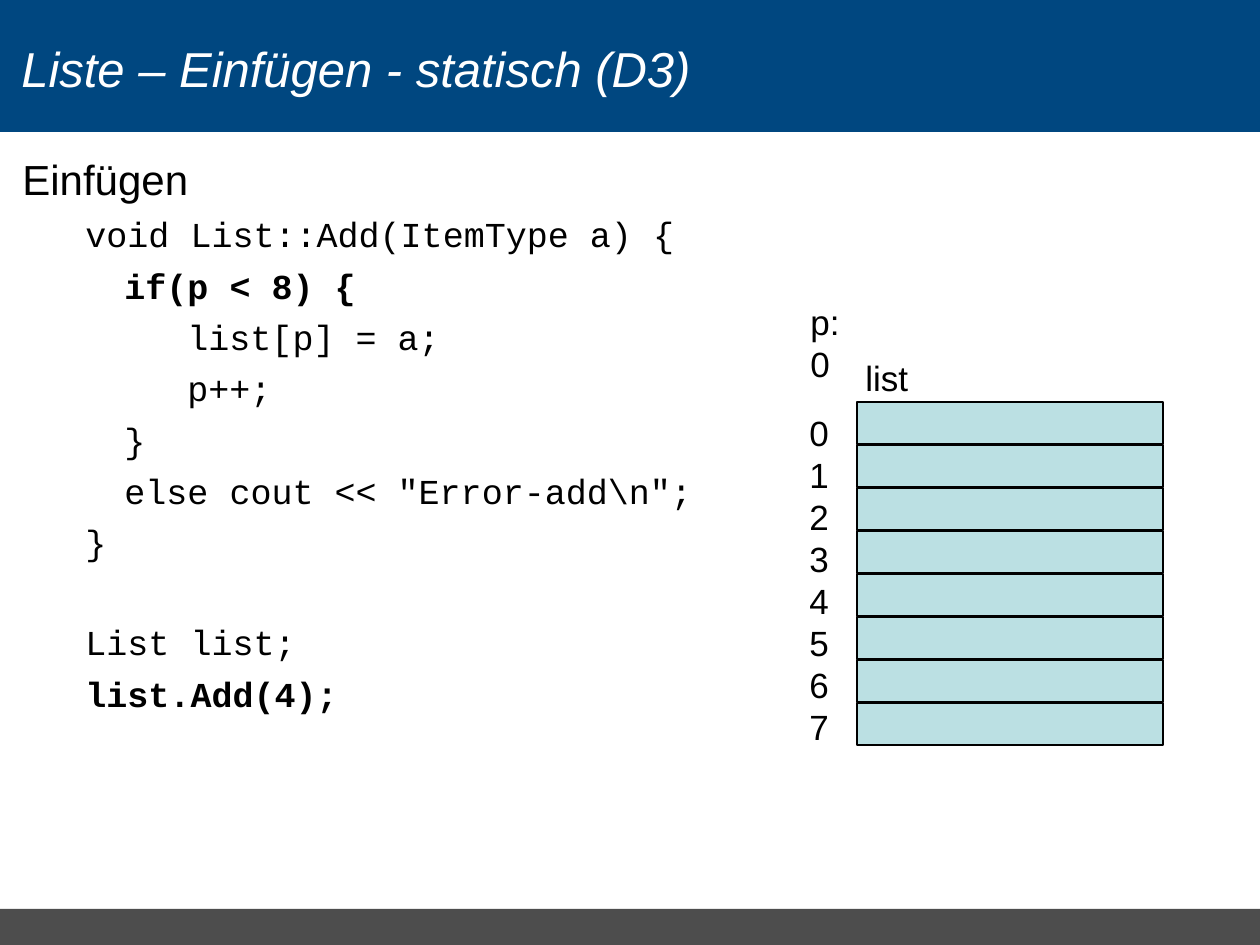
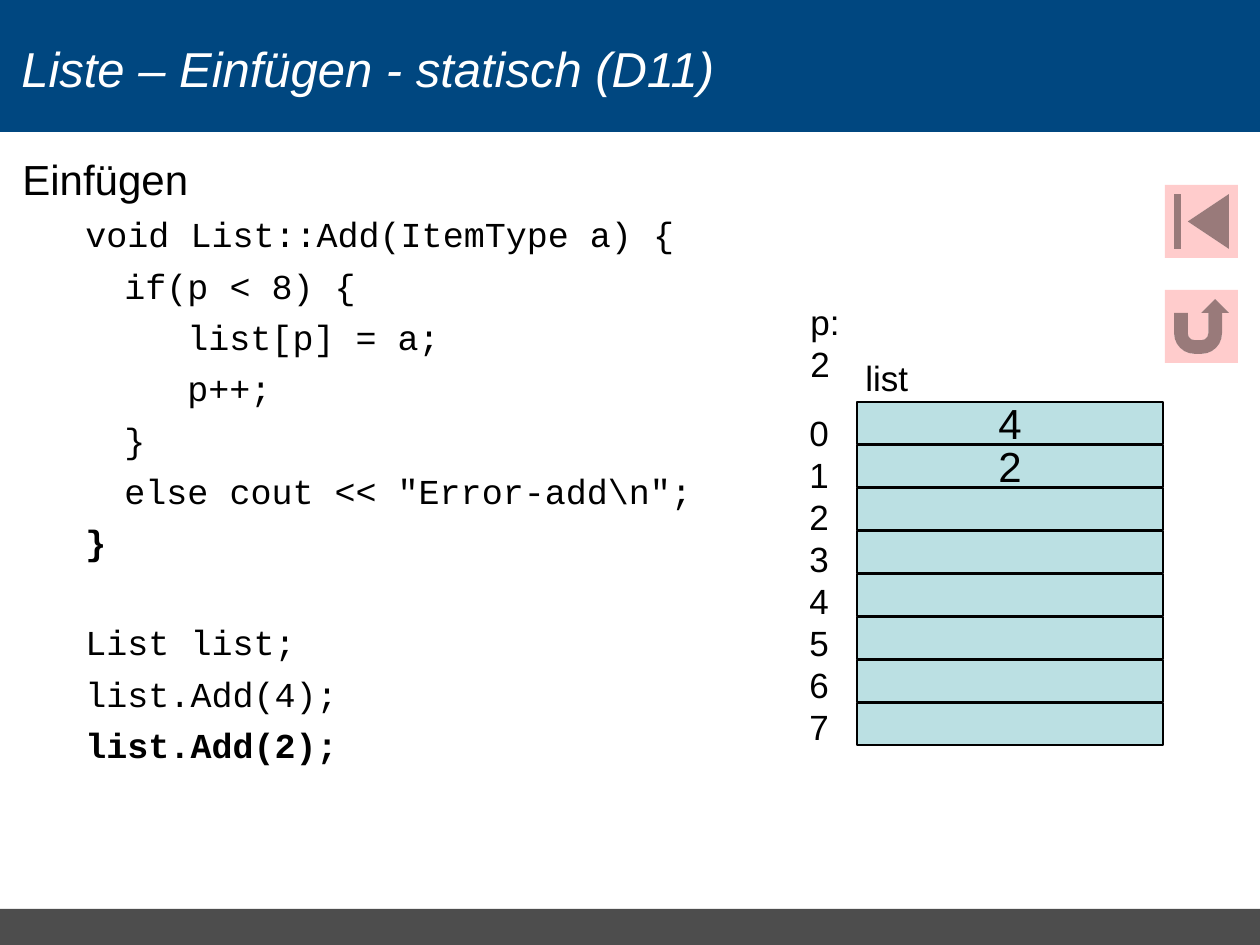
from pptx import Presentation
from pptx.dml.color import RGBColor
from pptx.enum.shapes import MSO_SHAPE
from pptx.enum.text import MSO_ANCHOR, PP_ALIGN
from pptx.util import Pt

RECT = MSO_SHAPE.RECTANGLE
FIRST = MSO_SHAPE.ACTION_BUTTON_BEGINNING
BACK = MSO_SHAPE.ACTION_BUTTON_RETURN
MIDDLE, CENTER = MSO_ANCHOR.MIDDLE, PP_ALIGN.CENTER
PX = 914400 / 126
SANS, MONO = "Arial", "Courier New"
BLUE, GREY, CELL, PINK = "004780", "4D4D4D", "BBE0E3", "FFCCCC"
BLACK, WHITE = "000000", "FFFFFF"
SLOTS = 8

HEAD = "Einfügen"
CODE = [
    "void List::Add(ItemType a) {",
    "\tif(p < 8) {",
    "\t\tlist[p] = a;",
    "\t\tp++;",
    "\t}",
    '\telse cout << "Error-add\\n";',
    "}",
]
SLIDES = [
    {"title": "Liste – Einfügen - statisch (D3)", "calls": ["list.Add(4);"],
     "bold": [1, 8], "items": [], "nav": []},
    {"title": "Liste – Einfügen - statisch (D11)",
     "calls": ["list.Add(4);", "list.Add(2);"],
     "bold": [6, 9], "items": ["4", "2"], "nav": [FIRST, BACK]},
]


def px(n):
    return round(n * PX)


def color(code):
    return RGBColor.from_string(code)


def style(par, size, face=SANS, tint=BLACK, bold=False, italic=False):
    font = par.font
    font.size, font.name = Pt(size), face
    font.bold, font.italic = bold, italic
    font.color.rgb = color(tint)


def shape(slide, kind, x, y, w, h, fill, line=None, width=1):
    part = slide.shapes.add_shape(kind, px(x), px(y), px(w), px(h))
    part.shadow.inherit = False
    part.fill.solid()
    part.fill.fore_color.rgb = color(fill)
    if line:
        part.line.color.rgb = color(line)
        part.line.width = Pt(width)
    else:
        part.line.fill.background()
    return part


def text(slide, x, y, w, h, lines, size=20, wrap=True, **look):
    frame = slide.shapes.add_textbox(px(x), px(y), px(w), px(h)).text_frame
    frame.word_wrap = wrap
    frame.text = "\n".join(lines)
    for par in frame.paragraphs:
        style(par, size, **look)
    return frame


def indent(par, left, hang):
    props = par._p.get_or_add_pPr()
    props.set("marL", str(px(left)))
    props.set("indent", str(px(-hang)))


def frame_up(slide, title):
    shape(slide, RECT, 0, 909, 1260, 36, GREY)
    shape(slide, RECT, 0, 0, 1260, 131, BLUE, BLUE, 0.75)
    box = text(slide, 9, 10, 888, 116, [title], 28, tint=WHITE, italic=True)
    box.vertical_anchor = MIDDLE


def listing(slide, calls, bold):
    lines = CODE + ["List list;"] + calls
    frame = text(slide, 10, 147, 1239, 752, [HEAD] + lines)
    head, *rows = frame.paragraphs
    style(head, 24)
    head.space_before = Pt(4.8)
    indent(head, 48, 48)
    for i, row in enumerate(rows):
        style(row, 20, MONO, bold=i in bold)
        row.space_before = Pt(33.3 if i == len(CODE) else 5.3)
        indent(row, 102, 39)


def array(slide, items):
    for i in range(SLOTS):
        cell = shape(slide, RECT, 857, 402 + 43 * i, 306, 42, CELL, BLACK)
        if i < len(items):
            frame = cell.text_frame
            frame.text = items[i]
            frame.word_wrap = False
            frame.vertical_anchor = MIDDLE
            par = frame.paragraphs[0]
            par.alignment = CENTER
            style(par, 24)
    text(slide, 853, 350, 68, 54, ["list"], wrap=False)
    text(slide, 797, 405, 45, 349, [str(i) for i in range(SLOTS)], wrap=False)
    text(slide, 798, 294, 83, 96, [f"p: {len(items)}"])


def main():
    deck = Presentation()
    deck.slide_width, deck.slide_height = px(1260), px(945)
    for data in SLIDES:
        slide = deck.slides.add_slide(deck.slide_layouts[6])
        frame_up(slide, data["title"])
        listing(slide, data["calls"], data["bold"])
        array(slide, data["items"])
        for i, kind in enumerate(data["nav"]):
            shape(slide, kind, 1165, 185 + 105 * i, 73, 73, PINK)
    deck.save("out.pptx")


if __name__ == "__main__":
    main()
